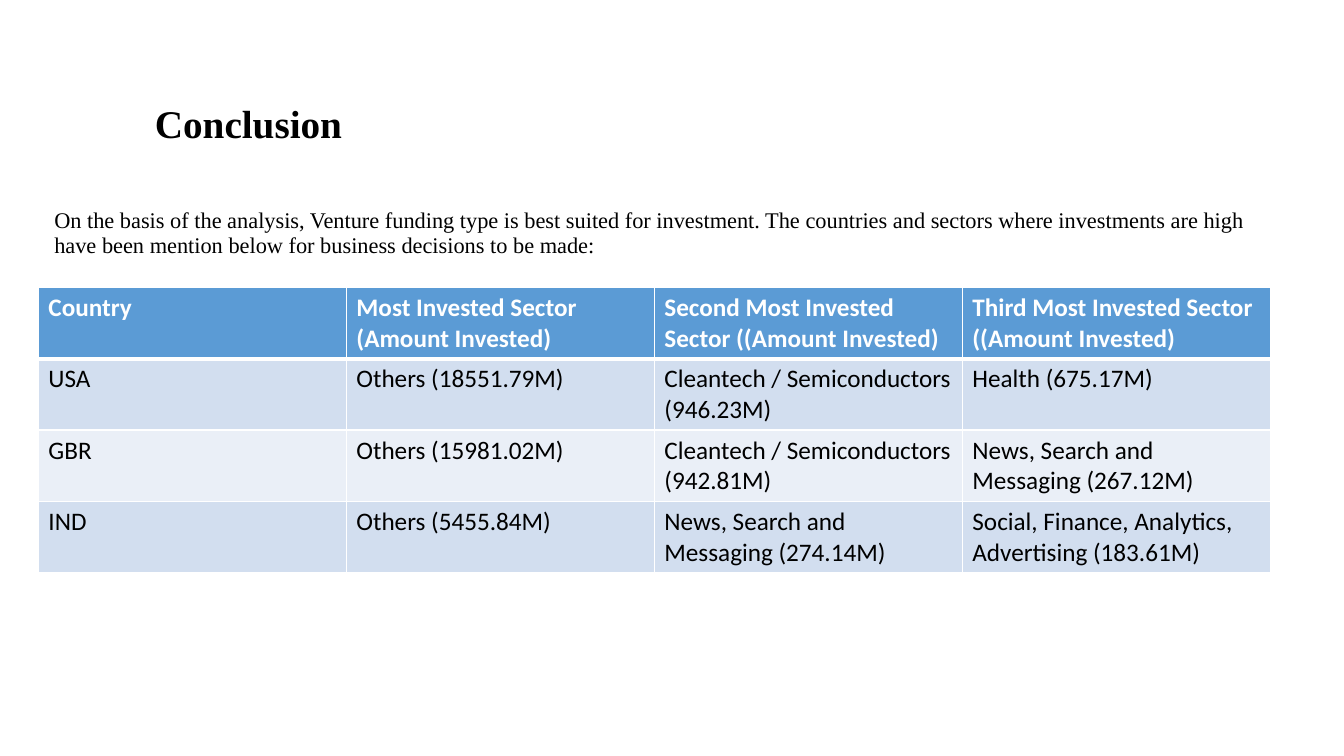
from lxml.etree import SubElement
from pptx import Presentation
from pptx.dml.color import RGBColor
from pptx.enum.text import MSO_ANCHOR
from pptx.oxml.ns import qn
from pptx.util import Pt

SERIF = {"name": "Times New Roman", "bold": False}
HEADER = {"name": "Calibri", "size": Pt(18), "bold": True}
BODY = {**HEADER, "bold": False}
BAND_FILLS = ["D2DEEF", "EAEFF7"]
INTRODUCTION = (
    "On the basis of the analysis, Venture funding type is best suited for investment. "
    "The countries and sectors where investments are high have been mention below "
    "for business decisions to be made:"
)
SECTORS = [
    ["Country", "Most Invested Sector (Amount Invested)",
     "Second Most Invested Sector ((Amount Invested)",
     "Third Most Invested Sector\n((Amount Invested)"],
    ["USA", "Others (18551.79M)", "Cleantech / Semiconductors\n(946.23M)",
     "Health (675.17M)"],
    ["GBR", "Others (15981.02M)", "Cleantech / Semiconductors\n(942.81M)",
     "News, Search and Messaging (267.12M)"],
    ["IND", "Others (5455.84M)", "News, Search and Messaging (274.14M)",
     "Social, Finance, Analytics, Advertising (183.61M)"],
]


def paint(color_format, hex_color):
    color_format.rgb = RGBColor.from_string(hex_color)


def add_span(para, text, hex_color, font_format):
    span = para.add_run()
    span.text = text
    for name, value in font_format.items():
        setattr(span.font, name, value)
    paint(span.font.color, hex_color)


def add_text(page, box, anchor, para_format, spans):
    frame = page.shapes.add_textbox(*map(Pt, box)).text_frame
    frame.word_wrap = True
    frame.vertical_anchor = anchor
    para = frame.paragraphs[0]
    for name, value in para_format.items():
        setattr(para, name, value)
    for text, font_format in spans:
        add_span(para, text, "000000", font_format)


def set_borders(cell, widths):
    properties = cell._tc.get_or_add_tcPr()
    for side, width in widths.items():
        line = SubElement(properties, qn(f"a:ln{side}"), w=str(Pt(width)))
        fill = SubElement(line, qn("a:solidFill"))
        SubElement(fill, qn("a:srgbClr"), val="FFFFFF")


def fill_cell(cell, text, row):
    set_borders(cell, {"L": 1, "R": 1, "T": 3 if row == 1 else 1, "B": 1 if row else 3})
    cell.fill.solid()
    paint(cell.fill.fore_color, BAND_FILLS[(row - 1) % 2] if row else "5B9BD5")
    cell.text = text
    for para in cell.text_frame.paragraphs:
        for span in para.runs:
            for name, value in (BODY if row else HEADER).items():
                setattr(span.font, name, value)
            paint(span.font.color, "000000" if row else "FFFFFF")


def add_sector_table(page, box):
    table = page.shapes.add_table(len(SECTORS), len(SECTORS[0]), *map(Pt, box)).table
    for row, texts in enumerate(SECTORS):
        for column, text in enumerate(texts):
            fill_cell(table.cell(row, column), text, row)


def add_conclusion(deck):
    page = deck.slides.add_slide(deck.slide_layouts[6])
    title = {**SERIF, "bold": True}
    add_text(page, (93.6, 50.4, 729.4, 70.6), MSO_ANCHOR.MIDDLE, {"line_spacing": 0.9},
             [(" ", {**title, "size": Pt(40)}), ("Conclusion", {**title, "size": Pt(28)})])
    add_text(page, (31.7, 146.2, 879, 342), MSO_ANCHOR.TOP,
             {"line_spacing": 0.9, "space_before": Pt(10)},
             [(INTRODUCTION, {**SERIF, "size": Pt(16)})])
    add_sector_table(page, (27.4, 205.2, 880, 204))


def main():
    deck = Presentation()
    deck.slide_width, deck.slide_height = Pt(960), Pt(540)
    add_conclusion(deck)
    deck.save("out.pptx")


if __name__ == "__main__":
    main()
